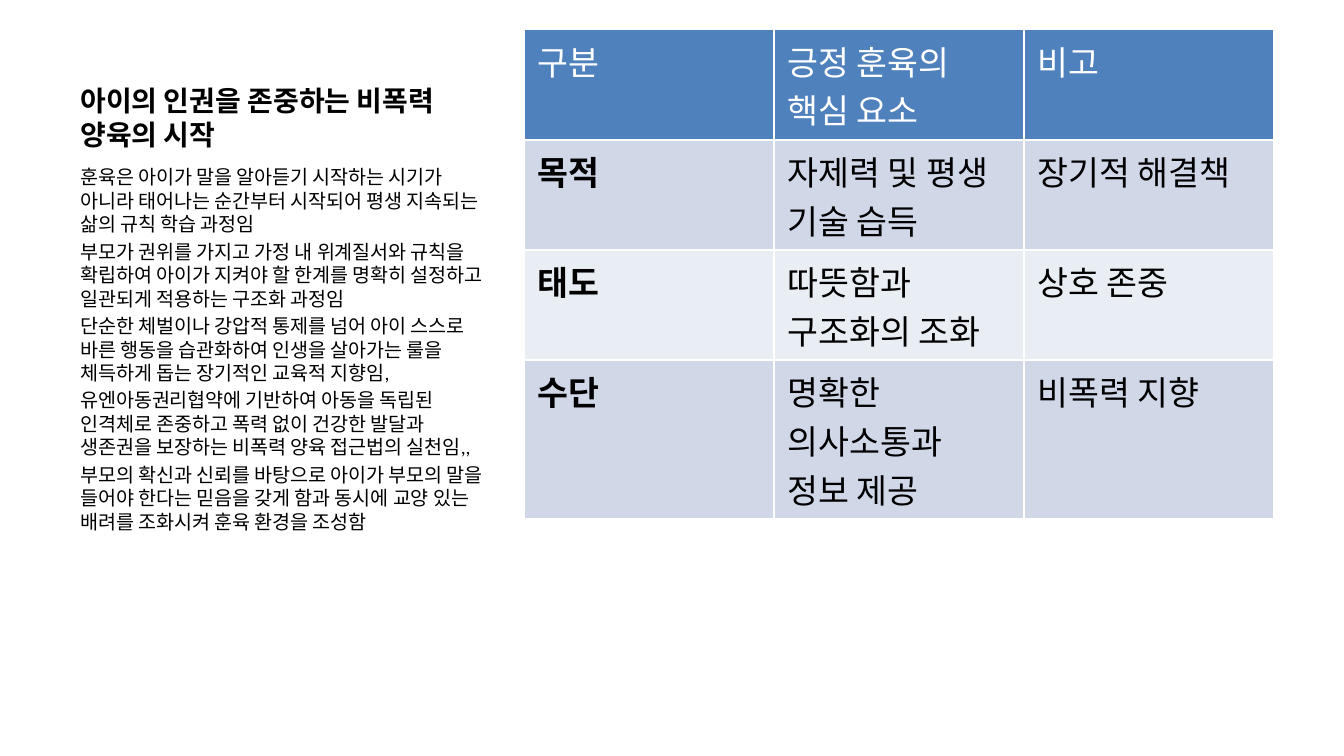
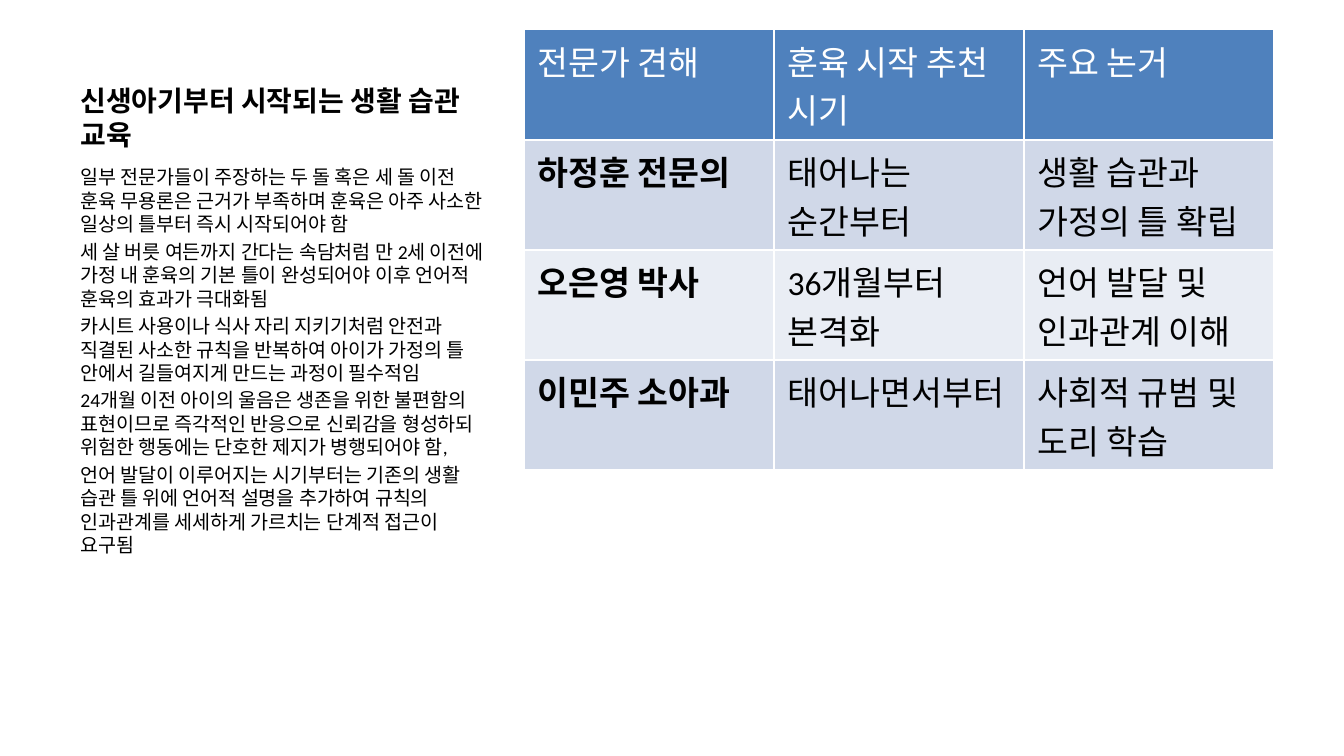
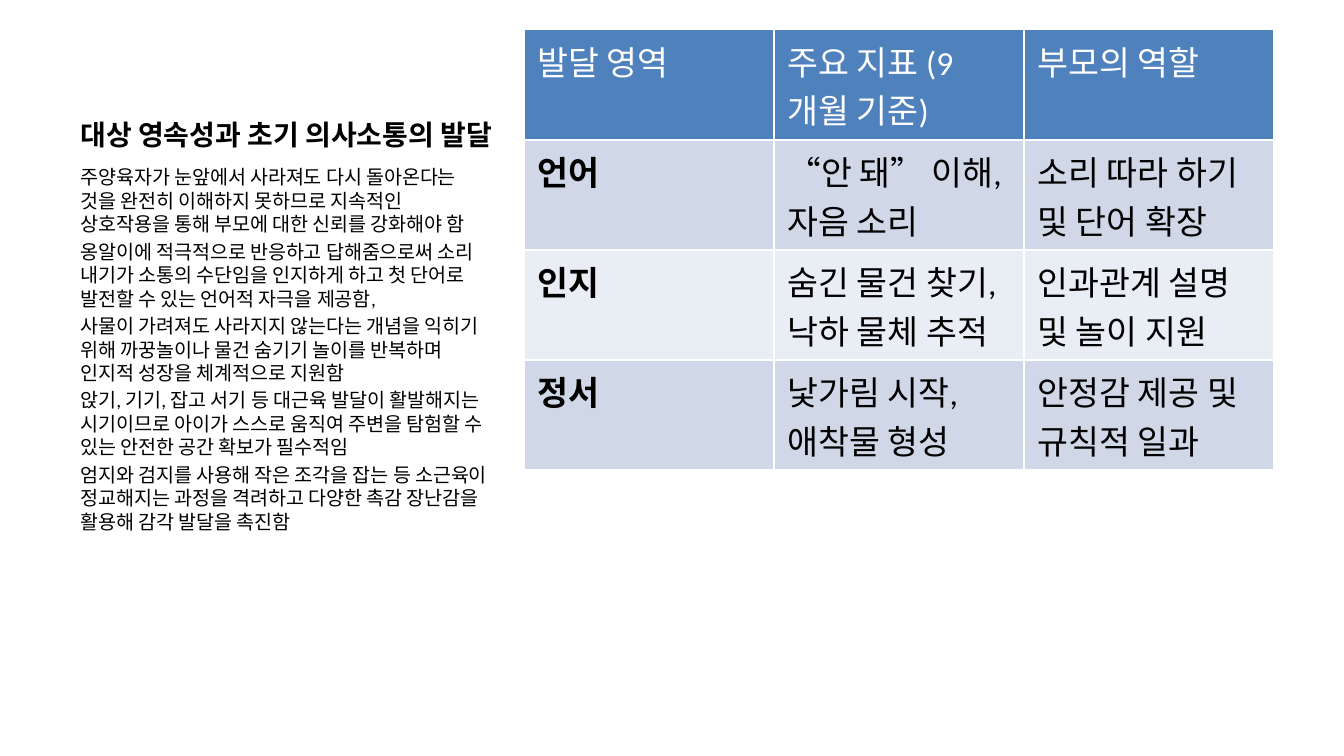
import dataclasses

import pptx
import pptx.dml.color
import pptx.enum.text
import pptx.util

Inches = pptx.util.Inches
Pt = pptx.util.Pt
Anchor = pptx.enum.text.MSO_ANCHOR


@dataclasses.dataclass(frozen=True)
class Theme:
    font: str = "Calibri"
    ink: str = "000000"
    white: str = "FFFFFF"
    head: str = "4F81BD"
    bands: tuple = ("D0D8E8", "E9EDF4")
    title: float = 15
    body: float = 10.5
    cell: float = 18


THEME = Theme()
TITLE_BOX = (0.5, 0.22, 3.29, 0.95)
BODY_BOX = (0.5, 1.18, 3.29, 3.85)
GRID_BOX = (3.9, 0.22, 5.58, 4.79)
ROW = 0.82
TALL = 1.18

PAGES = [
    {
        "title": "아이의 인권을 존중하는 비폭력 양육의 시작",
        "body": [
            "훈육은 아이가 말을 알아듣기 시작하는 시기가 아니라 태어나는 순간부터 시작되어 평생 지속되는 삶의 규칙 학습 과정임",
            "부모가 권위를 가지고 가정 내 위계질서와 규칙을 확립하여 아이가 지켜야 할 한계를 명확히 설정하고 일관되게 적용하는 구조화 과정임",
            "단순한 체벌이나 강압적 통제를 넘어 아이 스스로 바른 행동을 습관화하여 인생을 살아가는 룰을 체득하게 돕는 장기적인 교육적 지향임,",
            "유엔아동권리협약에 기반하여 아동을 독립된 인격체로 존중하고 폭력 없이 건강한 발달과 생존권을 보장하는 비폭력 양육 접근법의 실천임,,",
            "부모의 확신과 신뢰를 바탕으로 아이가 부모의 말을 들어야 한다는 믿음을 갖게 함과 동시에 교양 있는 배려를 조화시켜 훈육 환경을 조성함",
        ],
        "grid": [
            ["구분", "긍정 훈육의 핵심 요소", "비고"],
            ["목적", "자제력 및 평생 기술 습득", "장기적 해결책"],
            ["태도", "따뜻함과 구조화의 조화", "상호 존중"],
            ["수단", "명확한 의사소통과 정보 제공", "비폭력 지향"],
        ],
        "last": TALL,
    },
    {
        "title": "신생아기부터 시작되는 생활 습관 교육",
        "body": [
            "일부 전문가들이 주장하는 두 돌 혹은 세 돌 이전 훈육 무용론은 근거가 부족하며 훈육은 아주 사소한 일상의 틀부터 즉시 시작되어야 함",
            "세 살 버릇 여든까지 간다는 속담처럼 만 2세 이전에 가정 내 훈육의 기본 틀이 완성되어야 이후 언어적 훈육의 효과가 극대화됨",
            "카시트 사용이나 식사 자리 지키기처럼 안전과 직결된 사소한 규칙을 반복하여 아이가 가정의 틀 안에서 길들여지게 만드는 과정이 필수적임",
            "24개월 이전 아이의 울음은 생존을 위한 불편함의 표현이므로 즉각적인 반응으로 신뢰감을 형성하되 위험한 행동에는 단호한 제지가 병행되어야 함,",
            "언어 발달이 이루어지는 시기부터는 기존의 생활 습관 틀 위에 언어적 설명을 추가하여 규칙의 인과관계를 세세하게 가르치는 단계적 접근이 요구됨",
        ],
        "grid": [
            ["전문가 견해", "훈육 시작 추천 시기", "주요 논거"],
            ["하정훈 전문의", "태어나는 순간부터", "생활 습관과 가정의 틀 확립"],
            ["오은영 박사", "36개월부터 본격화", "언어 발달 및 인과관계 이해"],
            ["이민주 소아과", "태어나면서부터", "사회적 규범 및 도리 학습"],
        ],
        "last": ROW,
    },
    {
        "title": "대상 영속성과 초기 의사소통의 발달",
        "body": [
            "주양육자가 눈앞에서 사라져도 다시 돌아온다는 것을 완전히 이해하지 못하므로 지속적인 상호작용을 통해 부모에 대한 신뢰를 강화해야 함",
            "옹알이에 적극적으로 반응하고 답해줌으로써 소리 내기가 소통의 수단임을 인지하게 하고 첫 단어로 발전할 수 있는 언어적 자극을 제공함,",
            "사물이 가려져도 사라지지 않는다는 개념을 익히기 위해 까꿍놀이나 물건 숨기기 놀이를 반복하며 인지적 성장을 체계적으로 지원함",
            "앉기, 기기, 잡고 서기 등 대근육 발달이 활발해지는 시기이므로 아이가 스스로 움직여 주변을 탐험할 수 있는 안전한 공간 확보가 필수적임",
            "엄지와 검지를 사용해 작은 조각을 잡는 등 소근육이 정교해지는 과정을 격려하고 다양한 촉감 장난감을 활용해 감각 발달을 촉진함",
        ],
        "grid": [
            ["발달 영역", "주요 지표 (9개월 기준)", "부모의 역할"],
            ["언어", "“안 돼” 이해, 자음 소리", "소리 따라 하기 및 단어 확장"],
            ["인지", "숨긴 물건 찾기, 낙하 물체 추적", "인과관계 설명 및 놀이 지원"],
            ["정서", "낯가림 시작, 애착물 형성", "안정감 제공 및 규칙적 일과"],
        ],
        "last": ROW,
    },
]


def tint(code):
    return pptx.dml.color.RGBColor.from_string(code)


def write(frame, text, size, color=THEME.ink, bold=False, gap=None):
    lines = [text] if isinstance(text, str) else text
    for i, line in enumerate(lines):
        para = frame.add_paragraph() if i else frame.paragraphs[0]
        para.space_before = gap
        run = para.add_run()
        run.text = line
        run.font.name = THEME.font
        run.font.size = Pt(size)
        run.font.bold = bold
        run.font.color.rgb = tint(color)


def add_text(slide, box, text, anchor=Anchor.TOP, **style):
    frame = slide.shapes.add_textbox(*map(Inches, box)).text_frame
    frame.word_wrap = True
    frame.vertical_anchor = anchor
    write(frame, text, **style)


def add_grid(slide, box, rows, last):
    shape = slide.shapes.add_table(len(rows), len(rows[0]), *map(Inches, box))
    table = shape.table
    for row in table.rows:
        row.height = Inches(ROW)
    table.rows[len(rows) - 1].height = Inches(last)
    shape.height = Inches(box[3])
    for r, row in enumerate(rows):
        for c, text in enumerate(row):
            cell = table.cell(r, c)
            cell.fill.solid()
            cell.fill.fore_color.rgb = tint(THEME.bands[(r - 1) % 2] if r else THEME.head)
            write(cell.text_frame, text, THEME.cell,
                  color=THEME.ink if r else THEME.white,
                  bold=r > 0 and c == 0)


def add_page(deck, page):
    slide = deck.slides.add_slide(deck.slide_layouts[6])
    add_text(slide, TITLE_BOX, page["title"], anchor=Anchor.BOTTOM,
             size=THEME.title, bold=True)
    add_text(slide, BODY_BOX, page["body"], size=THEME.body, gap=Pt(2.1))
    add_grid(slide, GRID_BOX, page["grid"], page["last"])


def main():
    deck = pptx.Presentation()
    deck.slide_width = Inches(10)
    deck.slide_height = deck.slide_width * 9 // 16
    for page in PAGES:
        add_page(deck, page)
    deck.save("out.pptx")


if __name__ == "__main__":
    main()
